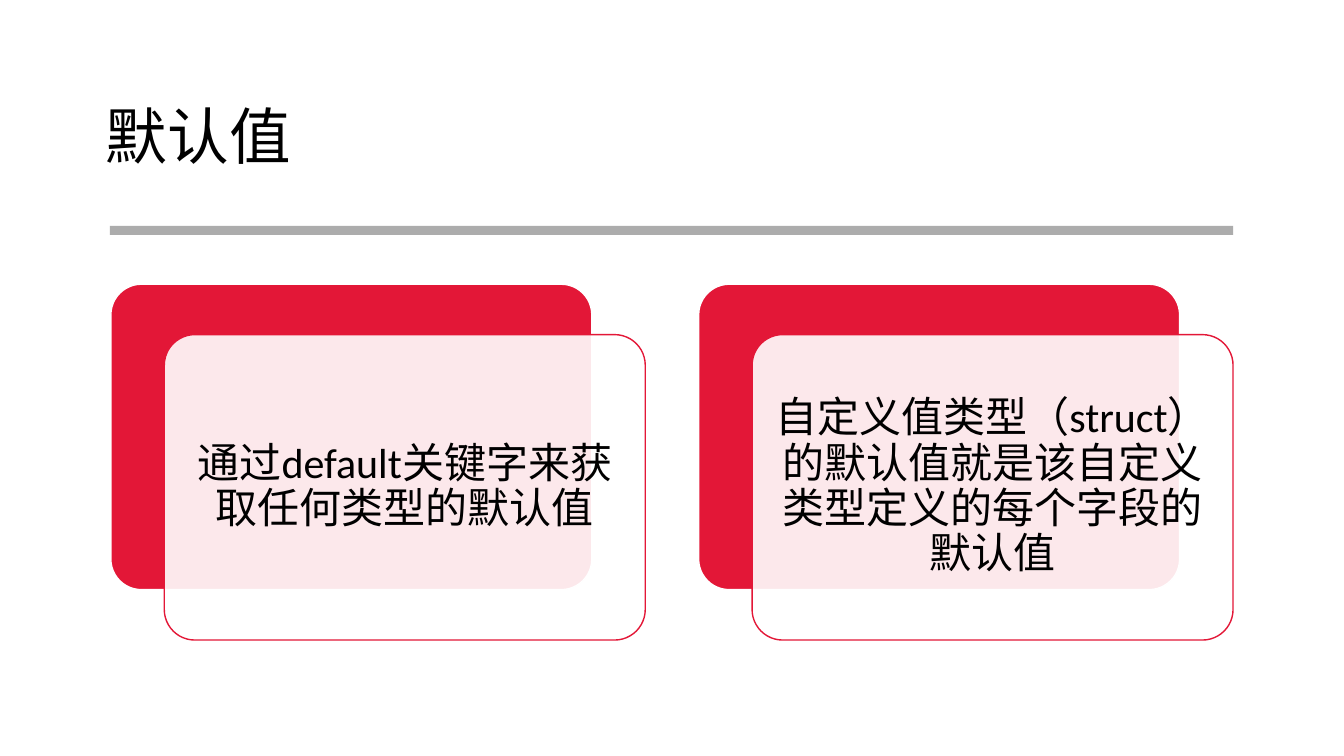
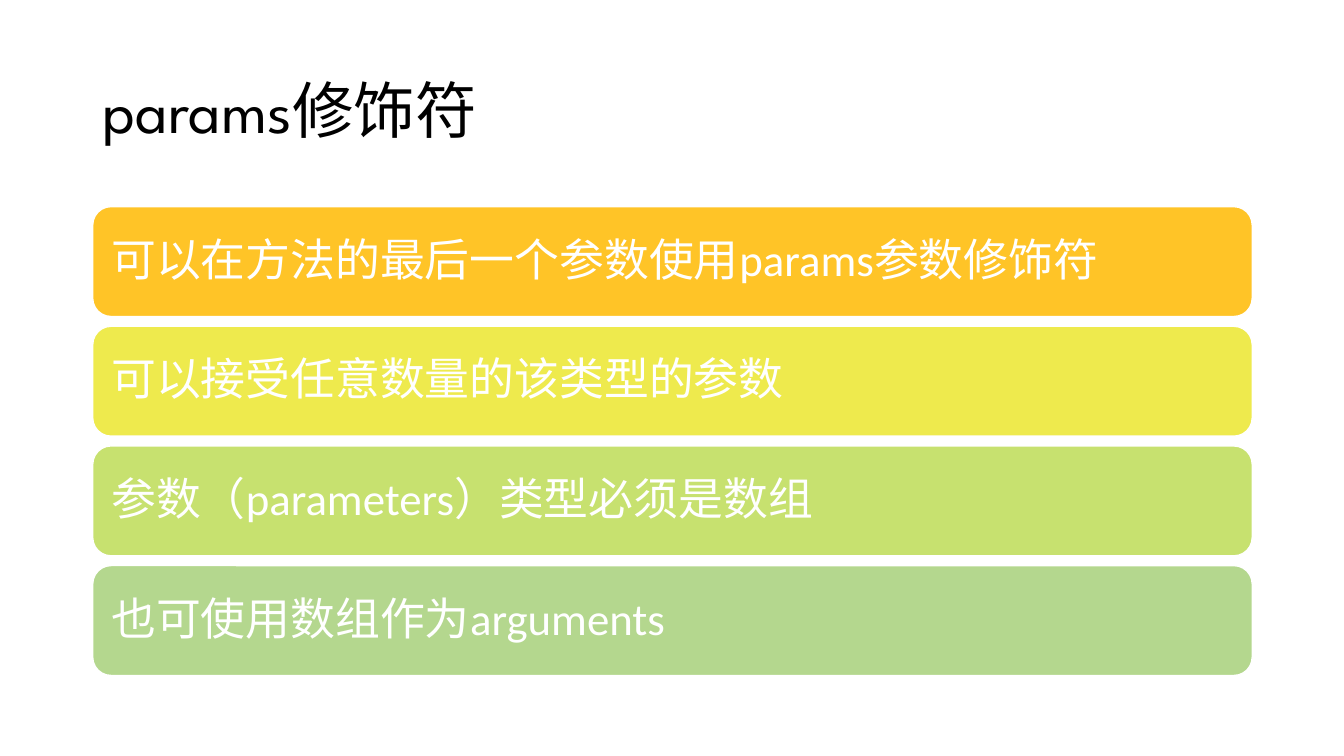
import pptx
import pptx.util
import pptx.dml.color
import pptx.enum.shapes
import pptx.enum.text
import pptx.oxml.ns
import lxml.etree

Inches = pptx.util.Inches
ROUNDED = pptx.enum.shapes.MSO_SHAPE.ROUNDED_RECTANGLE
RECTANGLE = pptx.enum.shapes.MSO_SHAPE.RECTANGLE
LEFT = pptx.enum.text.PP_ALIGN.LEFT
CENTER = pptx.enum.text.PP_ALIGN.CENTER

BLACK, WHITE, RED, GRAY = "000000", "FFFFFF", "E31737", "808080"
TITLE = {"name": "League Spartan", "size": pptx.util.Pt(44)}
CARD = {"name": "Calibri", "size": pptx.util.Pt(30)}
BAR = {"name": "Calibri", "size": pptx.util.Pt(32)}


def paint(target, color, opacity=100):
    if hasattr(target, "solid"):
        target.solid()
        target = target.fore_color
    else:
        target = target.color
    target.rgb = pptx.dml.color.RGBColor.from_string(color)
    if opacity < 100:
        color_element = target._xFill.find(pptx.oxml.ns.qn("a:srgbClr"))
        alpha = lxml.etree.SubElement(color_element, pptx.oxml.ns.qn("a:alpha"))
        alpha.set("val", str(opacity * 1000))


def write(shape, text, font_format, color, alignment, inset):
    frame = shape.text_frame
    frame.text = text
    frame_format = {
        "word_wrap": True,
        "auto_size": pptx.enum.text.MSO_AUTO_SIZE.NONE,
        "vertical_anchor": pptx.enum.text.MSO_ANCHOR.MIDDLE,
        "margin_left": Inches(inset),
        "margin_right": Inches(inset),
    }
    for name, value in frame_format.items():
        setattr(frame, name, value)
    paragraph = frame.paragraphs[0]
    paragraph.alignment = alignment
    paragraph.line_spacing = 0.9
    font = paragraph.runs[0].font
    for name, value in font_format.items():
        setattr(font, name, value)
    paint(font, color)


presentation = pptx.Presentation()
presentation.slide_width = Inches(13.33)
presentation.slide_height = Inches(7.5)

slides = []
for text, left, top, width in [
    ("默认值", 0.95, 0.66, 11.43),
    ("params修饰符", 0.92, 0.4, 11.5),
]:
    slide = presentation.slides.add_slide(presentation.slide_layouts[5])
    title = slide.shapes.title
    title.left, title.top = Inches(left), Inches(top)
    title.width, title.height = Inches(width), Inches(1.45)
    write(title, text, TITLE, BLACK, LEFT, 0.1)
    slides.append(slide)
default_slide, params_slide = slides

rule = default_slide.shapes.add_shape(
    RECTANGLE, Inches(1.09), Inches(2.24), Inches(11.14), Inches(0.09)
)
rule.shadow.inherit = False
paint(rule.fill, GRAY, 65)
rule.line.fill.background()

card_texts = [
    "通过default关键字来获取任何类型的默认值",
    "自定义值类型（struct）的默认值就是该自定义类型定义的每个字段的默认值",
]
for column, text in enumerate(card_texts):
    card_left = 1.1 + column * 5.83
    for offset_x, offset_y, fill, opacity, outline in [
        (0, 0, RED, 100, WHITE),
        (0.53, 0.5, WHITE, 90, RED),
    ]:
        card = default_slide.shapes.add_shape(
            ROUNDED, Inches(card_left + offset_x), Inches(2.82 + offset_y),
            Inches(4.77), Inches(3.03)
        )
        card.adjustments[0] = 0.1
        card.shadow.inherit = False
        paint(card.fill, fill, opacity)
        paint(card.line, outline)
        card.line.width = pptx.util.Pt(1)
    write(card, text, CARD, BLACK, CENTER, 0.12)

bars = [
    ("可以在方法的最后一个参数使用params参数修饰符", "FFC427"),
    ("可以接受任意数量的该类型的参数", "EEEA4D"),
    ("参数（parameters）类型必须是数组", "C7E16F"),
    ("也可使用数组作为arguments", "B4D78E"),
]
for row, (text, fill) in enumerate(bars):
    bar = params_slide.shapes.add_shape(
        ROUNDED, Inches(0.92), Inches(2.05 + row * 1.187), Inches(11.5), Inches(1.09)
    )
    bar.shadow.inherit = False
    paint(bar.fill, fill)
    paint(bar.line, WHITE)
    bar.line.width = pptx.util.Pt(1)
    write(bar, text, BAR, WHITE, LEFT, 0.13)

presentation.save("out.pptx")
